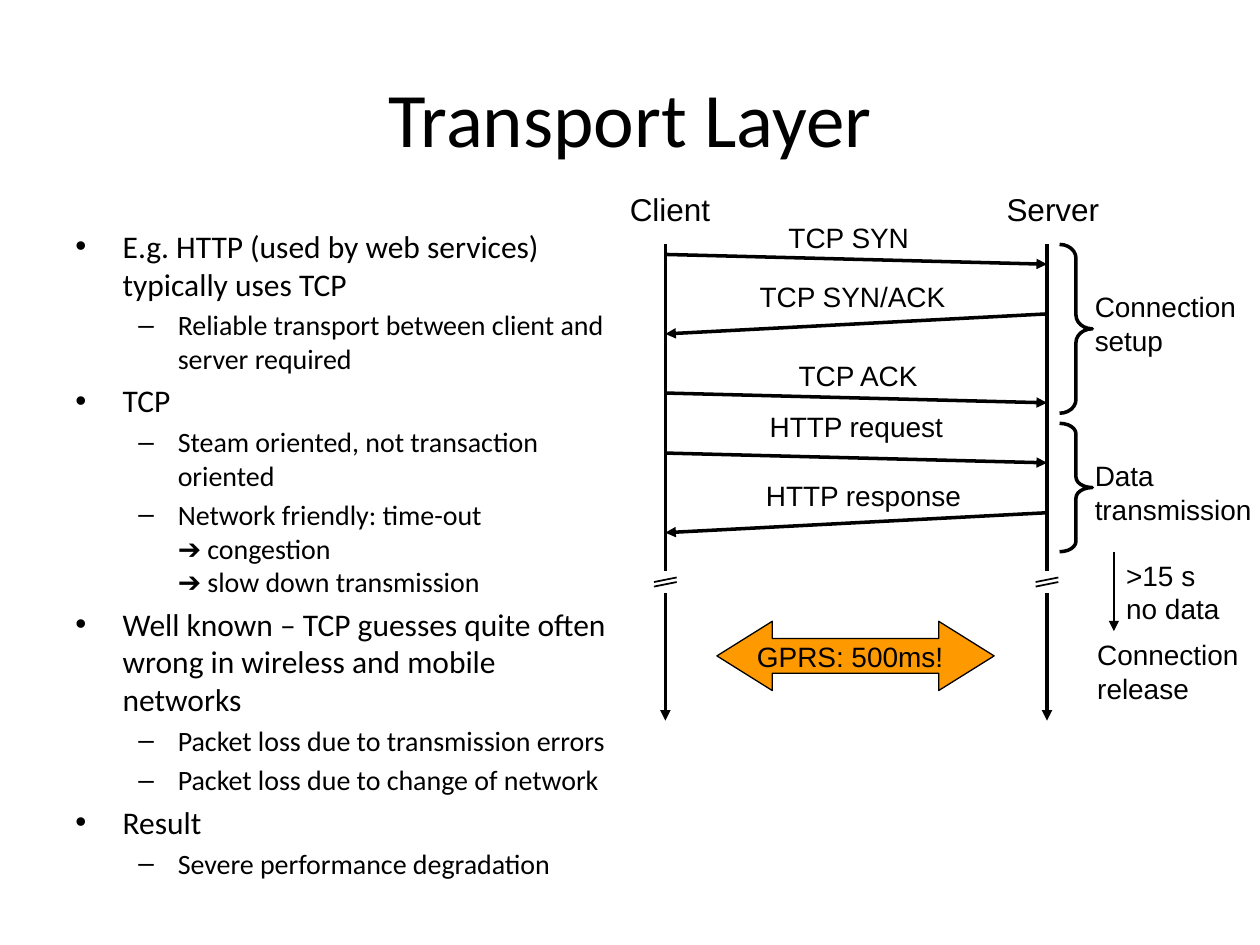
from lxml.etree import SubElement
from pptx import Presentation
from pptx.dml.color import RGBColor
from pptx.enum.shapes import MSO_CONNECTOR as Link, MSO_SHAPE as Kind
from pptx.enum.text import MSO_ANCHOR as Anchor, PP_ALIGN as Align
from pptx.oxml.ns import qn
from pptx.util import Pt

BLACK, WHITE, ORANGE = "000000", "FFFFFF", "FF9900"
CLIENT, SERVER = 380.2, 598.3
TOP, END = 139.7, 411.8

POINTS = [
    (0, "E.g. HTTP (used by web services) typically uses TCP"),
    (1, "Reliable transport between client and server required"),
    (0, "TCP"),
    (1, "Steam oriented, not transaction oriented"),
    (1, "Network friendly: time-out\n➔ congestion\n➔ slow down transmission"),
    (0, "Well known – TCP guesses quite often wrong in wireless and mobile networks"),
    (1, "Packet loss due to transmission errors"),
    (1, "Packet loss due to change of network"),
    (0, "Result"),
    (1, "Severe performance degradation"),
]
LEVELS = [(18, 27, -27, "•"), (16, 58.5, -22.5, "–")]

LABELS = [
    ("Client", 352.8, 105.1, 60.5, 28.8, 18),
    ("Server", 568.1, 105.1, 67.7, 28.8, 18),
    ("Connection\nsetup", 618.5, 162, 95, 46, 16),
    ("Data\ntransmission", 618.5, 258.5, 104.4, 46, 16),
    ("Connection\nrelease", 619.9, 360.7, 95, 46, 16),
    (">15 s\nno data", 636.5, 315.4, 67.7, 46, 16),
    ("TCP SYN", 443.5, 122.4, 83.5, 26.6, 16),
    ("TCP SYN/ACK", 427, 156.2, 121, 26.6, 16),
    ("TCP ACK", 449.3, 201.6, 83.5, 26.6, 16),
    ("HTTP request", 432.7, 230.4, 113.8, 26.6, 16),
    ("HTTP response", 430.6, 270, 126.7, 26.6, 16),
]

SENDS = [145.4, 224.6, 258.9]
REPLIES = [179.4, 293]


def color(code):
    """Turn a hex string into a colour."""
    return RGBColor.from_string(code)


def style(para, size, face="Arial"):
    """Set the font of a paragraph."""
    font = para.font
    font.size, font.name = Pt(size), face
    font.color.rgb = color(BLACK)


def bullet(para, left, hang, mark):
    """Give a paragraph a hanging bullet."""
    props = para._p.get_or_add_pPr()
    props.set("marL", str(Pt(left)))
    props.set("indent", str(Pt(hang)))
    SubElement(props, qn("a:buFont"), typeface="Arial")
    SubElement(props, qn("a:buChar"), char=mark)


def title(slide, words):
    """Place and format the title."""
    box = slide.shapes.title
    box.left, box.top, box.width, box.height = Pt(36), Pt(21.6), Pt(648), Pt(90)
    frame = box.text_frame
    frame.text = words
    frame.vertical_anchor = Anchor.MIDDLE
    para = frame.paragraphs[0]
    para.alignment = Align.CENTER
    style(para, 44, "Calibri")


def outline(slide, points):
    """Write the bulleted list on the left."""
    box = slide.shapes.add_textbox(Pt(36), Pt(126), Pt(318.2), Pt(356.4))
    frame = box.text_frame
    frame.word_wrap = True
    for num, (level, words) in enumerate(points):
        para = frame.add_paragraph() if num else frame.paragraphs[0]
        size, left, hang, mark = LEVELS[level]
        para.text, para.level = words, level
        bullet(para, left, hang, mark)
        para.space_before = Pt(size * 0.2 if num else 0)
        style(para, size, "Calibri")


def write(frame, words, size):
    """Fill a frame with unwrapped lines of text."""
    frame.text = words
    frame.word_wrap = False
    for para in frame.paragraphs:
        para.alignment = Align.LEFT
        style(para, size)


def label(slide, words, left, top, width, height, size):
    """Add a diagram label."""
    box = slide.shapes.add_textbox(Pt(left), Pt(top), Pt(width), Pt(height))
    write(box.text_frame, words, size)


def line(slide, start, stop, width=2, head=True):
    """Draw a straight line, with an arrowhead at its end if wanted."""
    link = slide.shapes.add_connector(Link.STRAIGHT, *map(Pt, start + stop))
    link.line.width = Pt(width)
    link.line.color.rgb = color(BLACK)
    if head:
        SubElement(link.line._get_or_add_ln(), qn("a:tailEnd"), type="triangle")
    SubElement(link._element.spPr, qn("a:effectLst"))


def shape(slide, kind, area, fill, edge, width, bends=()):
    """Add a preset shape and return it."""
    form = slide.shapes.add_shape(kind, *map(Pt, area))
    form.shadow.inherit = False
    if fill:
        form.fill.solid()
        form.fill.fore_color.rgb = color(fill)
    else:
        form.fill.background()
    form.line.color.rgb = color(edge)
    form.line.width = Pt(width)
    for num, bend in enumerate(bends):
        form.adjustments[num] = bend
    return form


def brace(slide, top, height, bend):
    """Bracket one phase at the right."""
    area = (605.5, top, 18.7, height)
    shape(slide, Kind.RIGHT_BRACE, area, None, BLACK, 2, (bend, 0.5))


def gap(slide, mid):
    """Break a time line with two short strokes."""
    shape(slide, Kind.RECTANGLE, (mid - 13, 326.9, 26, 11.5), WHITE, WHITE, 1)
    for low in (332.6, 335.2):
        line(slide, (mid - 6.5, low), (mid + 6.5, low - 2.6), 1, False)


def delay(slide):
    """Add the double arrow with the delay."""
    area = (409.7, 355, 158.4, 39.6)
    form = shape(slide, Kind.LEFT_RIGHT_ARROW, area, ORANGE, BLACK, 0.75, (0.5, 0.8))
    form.text_frame.vertical_anchor = Anchor.MIDDLE
    write(form.text_frame, "GPRS: 500ms!", 16)


def main():
    """Build the slide and save it."""
    deck = Presentation()
    deck.slide_width, deck.slide_height = Pt(720), Pt(540)
    slide = deck.slides.add_slide(deck.slide_layouts[5])
    title(slide, "Transport Layer")
    outline(slide, POINTS)
    brace(slide, TOP, 96.5, 0.42)
    brace(slide, 241.9, 73.4, 0.32)
    for mid in (CLIENT, SERVER):
        line(slide, (mid, TOP), (mid, END))
        gap(slide, mid)
    for top in SENDS:
        line(slide, (CLIENT, top), (SERVER, top + 5.6))
    for top in REPLIES:
        line(slide, (SERVER, top), (CLIENT, top + 11.4))
    delay(slide)
    line(slide, (636.5, 315.4), (636.5, 360.7), 0.75)
    for item in LABELS:
        label(slide, *item)
    deck.save("out.pptx")


if __name__ == "__main__":
    main()
